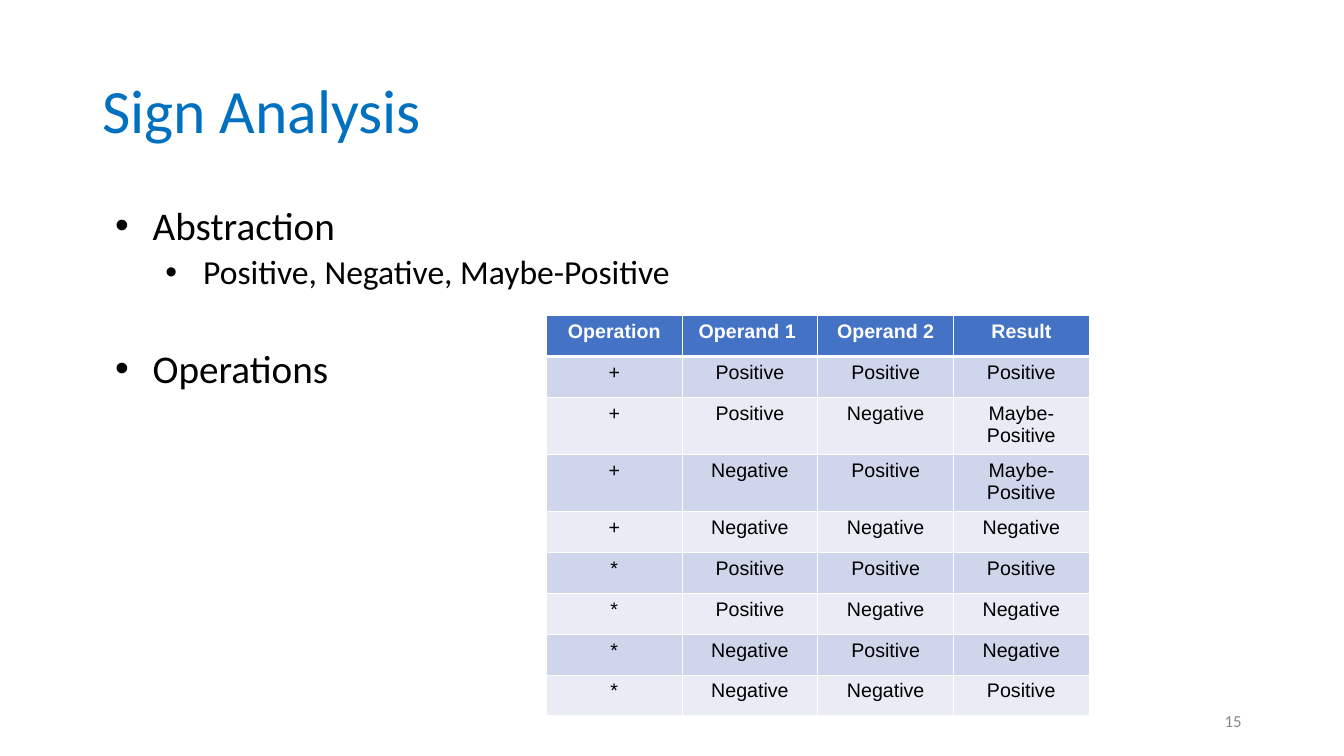
"""Build the Sign Analysis slide with its table of sign operations."""
from pptx import Presentation
from pptx.dml.color import RGBColor
from pptx.enum.text import MSO_ANCHOR, PP_ALIGN
from pptx.oxml.ns import qn
from pptx.util import Cm, Pt
from lxml.etree import SubElement

COLORS = {
    "title": "0070C0",
    "text": "000000",
    "number": "888888",
    "white": "FFFFFF",
    "header": "4472C4",
    "odd": "CFD5EA",
    "even": "E9EBF5",
}
BULLETS = [
    ("Abstraction", 0, 10),
    ("Positive, Negative, Maybe-Positive", 1, 5),
    ("Operations", 0, 41),
]
SIGN_TABLE = [
    ("Operation", "Operand 1 ", "Operand 2", "Result"),
    ("+", "Positive", "Positive", "Positive"),
    ("+", "Positive", "Negative", "Maybe-Positive"),
    ("+", "Negative", "Positive", "Maybe-Positive"),
    ("+", "Negative", "Negative", "Negative"),
    ("*", "Positive", "Positive", "Positive"),
    ("*", "Positive", "Negative", "Negative"),
    ("*", "Negative", "Positive", "Negative"),
    ("*", "Negative", "Negative", "Positive"),
]


def rgb(name):
    return RGBColor.from_string(COLORS[name])


def format_runs(paragraph, size, color, font="Calibri", bold=False):
    for run in paragraph.runs:
        run.font.size = Pt(size)
        run.font.name = font
        run.font.bold = bold
        run.font.color.rgb = rgb(color)


def add_text_frame(slide, left, top, width, height, anchor=MSO_ANCHOR.MIDDLE):
    shape = slide.shapes.add_textbox(Cm(left), Cm(top), Cm(width), Cm(height))
    text_frame = shape.text_frame
    text_frame.word_wrap = True
    text_frame.vertical_anchor = anchor
    return text_frame


def add_title(slide, text):
    paragraph = add_text_frame(slide, 2.33, 1.01, 29.21, 3.68).paragraphs[0]
    paragraph.text = text
    paragraph.line_spacing = 0.9
    format_runs(paragraph, 44, "title")


def set_bullet(paragraph, level):
    paragraph.level = level
    properties = paragraph._p.get_or_add_pPr()
    properties.set("marL", str(Cm(1.27 * (level + 1))))
    properties.set("indent", str(Cm(-0.95)))
    bullet_color = SubElement(properties, qn("a:buClr"))
    SubElement(bullet_color, qn("a:srgbClr"), val=COLORS["text"])
    SubElement(properties, qn("a:buFont"), typeface="Arial")
    SubElement(properties, qn("a:buChar"), char="•")


def add_bullets(slide, bullets):
    text_frame = add_text_frame(slide, 2.33, 5.07, 29.21, 12.09, MSO_ANCHOR.TOP)
    text_frame.text = "\n".join(text for text, level, space in bullets)
    for paragraph, (text, level, space) in zip(text_frame.paragraphs, bullets):
        paragraph.line_spacing = 0.9
        paragraph.space_before = Pt(space)
        set_bullet(paragraph, level)
        format_runs(paragraph, 28 - 4 * level, "text")


def add_slide_number(slide, text):
    paragraph = add_text_frame(slide, 23.92, 17.66, 7.62, 1.01).paragraphs[0]
    paragraph.text = text
    paragraph.alignment = PP_ALIGN.RIGHT
    format_runs(paragraph, 12, "number")


def set_borders(cell, widths):
    properties = cell._tc.get_or_add_tcPr()
    for side, width in widths.items():
        line = SubElement(properties, qn(f"a:ln{side}"), w=str(Pt(width)))
        fill = SubElement(line, qn("a:solidFill"))
        SubElement(fill, qn("a:srgbClr"), val=COLORS["white"])


def fill_cell(cell, text, row):
    is_header = row == 0
    paragraph = cell.text_frame.paragraphs[0]
    paragraph.text = text
    paragraph.alignment = PP_ALIGN.CENTER
    format_runs(paragraph, 14, "white" if is_header else "text", "Arial", is_header)
    set_borders(cell, {"L": 1, "R": 1, "T": 3 if row == 1 else 1, "B": 3 if is_header else 1})
    cell.fill.solid()
    cell.fill.fore_color.rgb = rgb("header" if is_header else "odd" if row % 2 else "even")


def add_sign_table(slide, rows):
    column_width, row_height = Cm(3.42), Cm(1.03)
    column_count = len(rows[0])
    table = slide.shapes.add_table(
        len(rows), column_count, Cm(13.77), Cm(7.95),
        column_width * column_count, row_height * len(rows),
    ).table
    for row, texts in enumerate(rows):
        for column, text in enumerate(texts):
            fill_cell(table.cell(row, column), text, row)


def main():
    presentation = Presentation()
    presentation.slide_width, presentation.slide_height = Cm(33.87), Cm(19.05)
    slide = presentation.slides.add_slide(presentation.slide_layouts[6])
    add_title(slide, "Sign Analysis")
    add_bullets(slide, BULLETS)
    add_slide_number(slide, "15")
    add_sign_table(slide, SIGN_TABLE)
    presentation.save("out.pptx")


if __name__ == "__main__":
    main()
